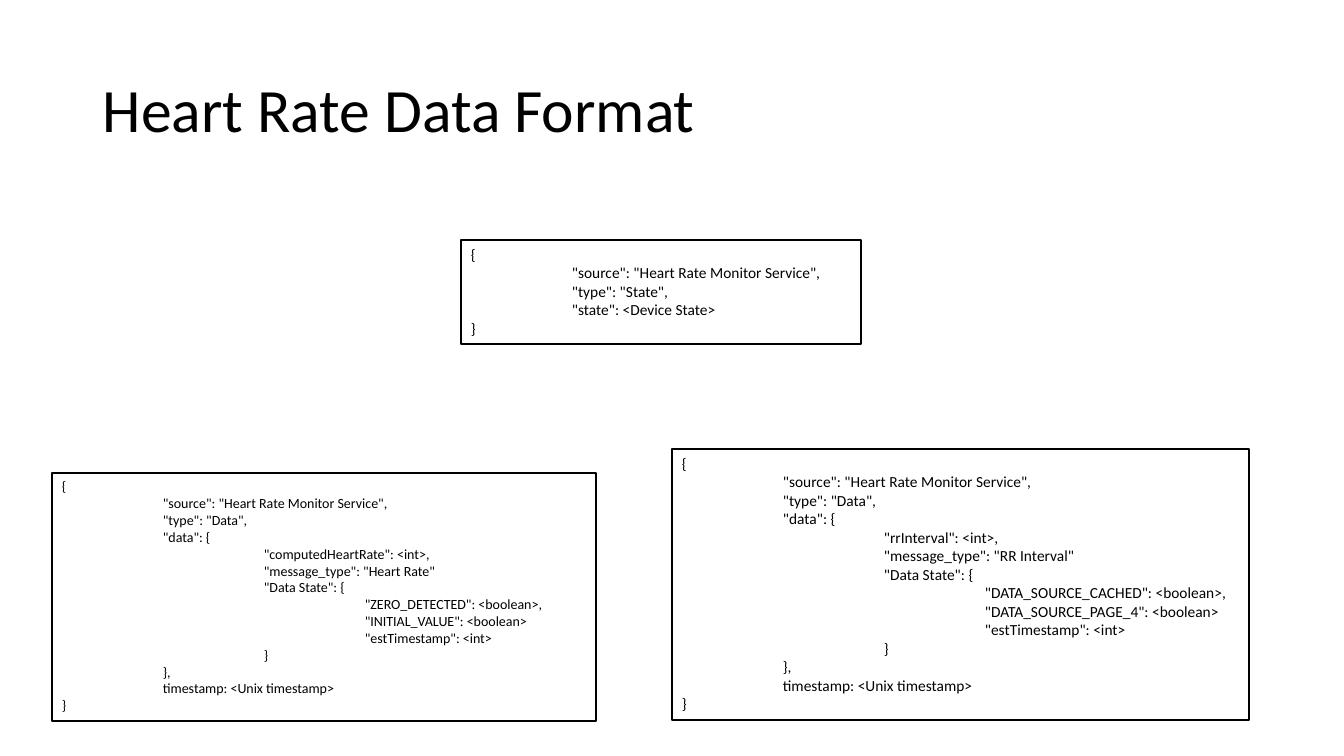
from pptx import Presentation
from pptx import util as u
from pptx.dml.color import RGBColor
from pptx.enum import shapes, text

BLACK = RGBColor(0x00, 0x00, 0x00)
WHITE = RGBColor(0xFF, 0xFF, 0xFF)
PIXELS_PER_INCH = 100.8
INDENT = 101


def px(pixels):
    """Turn whole pixels into EMU."""
    return u.Emu(round(pixels * u.Inches(1) / PIXELS_PER_INCH))


def apply(target, formats):
    """Set each attribute of target from a dict of format values."""
    for name, value in formats.items():
        setattr(target, name, value)


class Deck:
    """Holds the style and the current slide."""

    font = "Calibri"
    ink = BLACK
    paper = WHITE
    border = u.Pt(1)

    def __init__(self, width, height):
        """Open a presentation with one blank slide."""
        self.presentation = Presentation()
        apply(self.presentation, {"slide_width": px(width), "slide_height": px(height)})
        self.slide = self.presentation.slides.add_slide(self.presentation.slide_layouts[6])

    def add_words(self, paragraph, words, size):
        """Put one styled run into a left-aligned paragraph."""
        paragraph.alignment = text.PP_ALIGN.LEFT
        run = paragraph.add_run()
        run.text = words
        apply(run.font, {"name": self.font, "size": u.Pt(size)})
        run.font.color.rgb = self.ink

    def title(self, words, box, size=44):
        """Add the slide heading."""
        frame = self.slide.shapes.add_textbox(*map(px, box)).text_frame
        apply(frame, {"word_wrap": True, "vertical_anchor": text.MSO_ANCHOR.MIDDLE})
        heading = frame.paragraphs[0]
        heading.line_spacing = 0.9
        self.add_words(heading, words, size)

    def code(self, lines, box, size):
        """Add a bordered code listing, indented by its brace depth."""
        panel = self.slide.shapes.add_shape(shapes.MSO_SHAPE.RECTANGLE, *map(px, box))
        panel.shadow.inherit = False
        panel.fill.solid()
        panel.fill.fore_color.rgb = self.paper
        panel.line.color.rgb = self.ink
        panel.line.width = self.border
        frame = panel.text_frame
        apply(frame, {"word_wrap": True, "vertical_anchor": text.MSO_ANCHOR.TOP,
                      "auto_size": text.MSO_AUTO_SIZE.SHAPE_TO_FIT_TEXT})
        depth = 0
        for number, line in enumerate(lines):
            paragraph = frame.add_paragraph() if number else frame.paragraphs[0]
            depth -= line.startswith("}")
            properties = paragraph._p.get_or_add_pPr()
            properties.set("marL", str(px(depth * INDENT)))
            properties.set("indent", "0")
            self.add_words(paragraph, line, size)
            depth += line.endswith("{")

    def save(self):
        """Save the file."""
        self.presentation.save("out.pptx")


def message(kind, *body):
    """Return the lines of a service message of the given type."""
    return ["{", '"source": "Heart Rate Monitor Service",', f'"type": "{kind}",', *body, "}"]


def data_message(measure, message_type, flags):
    """Return the lines of a data message with its state flags."""
    first, second = flags
    return message(
        "Data", '"data": {', f'"{measure}": <int>,', f'"message_type": "{message_type}"',
        '"Data State": {', f'"{first}": <boolean>,', f'"{second}": <boolean>',
        '"estTimestamp": <int>', "}", "},", "timestamp: <Unix timestamp>")


heart_rate = data_message("computedHeartRate", "Heart Rate", ("ZERO_DETECTED", "INITIAL_VALUE"))
rr_interval = data_message("rrInterval", "RR Interval",
                           ("DATA_SOURCE_CACHED", "DATA_SOURCE_PAGE_4"))
device_state = message("State", '"state": <Device State>')

deck = Deck(1344, 756)
deck.title("Heart Rate Data Format", (93, 40, 1159, 146))
deck.code(heart_rate, (52, 473, 544, 248), 10)
deck.code(rr_interval, (672, 449, 577, 271), 11)
deck.code(device_state, (461, 240, 400, 104), 11)
deck.save()
